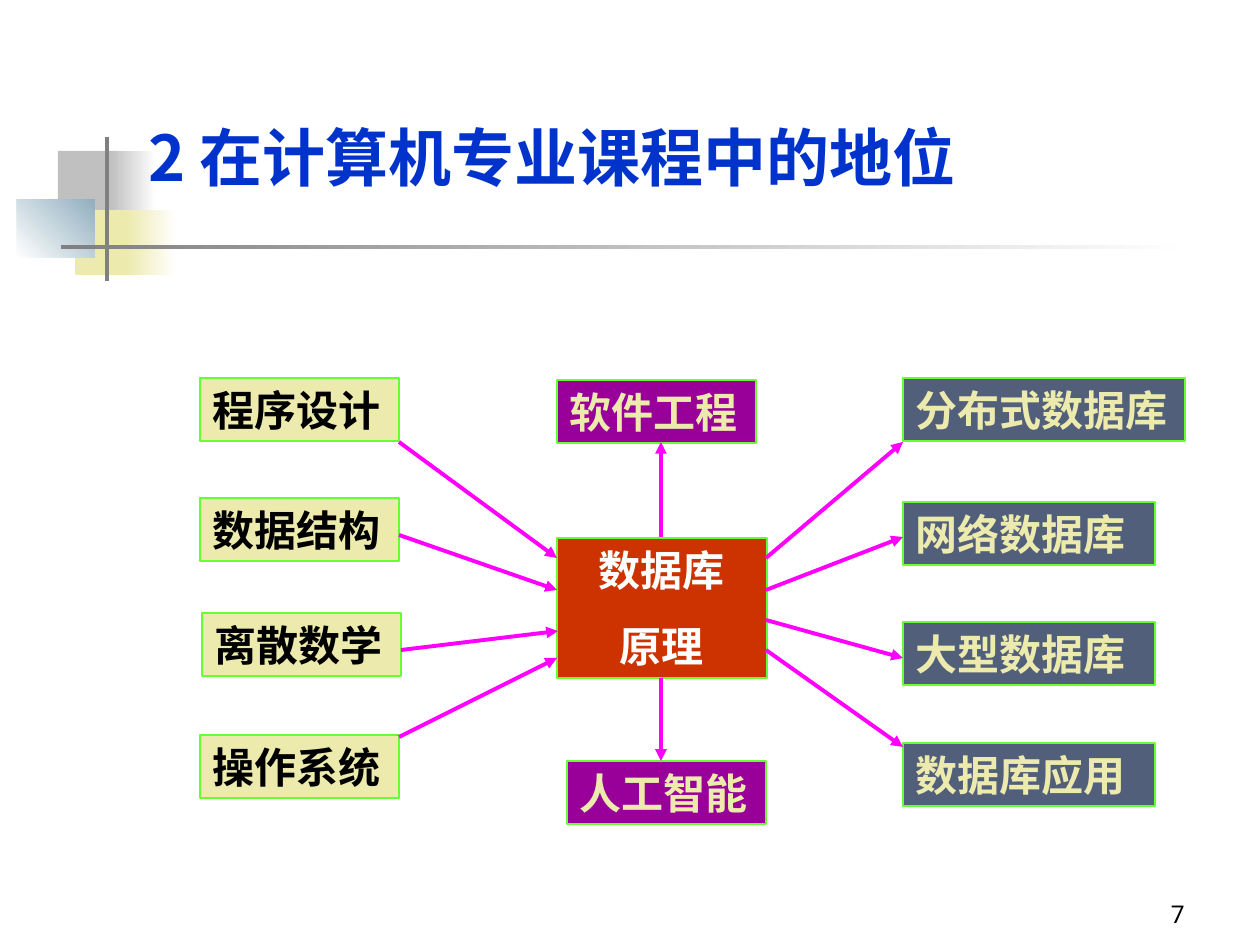
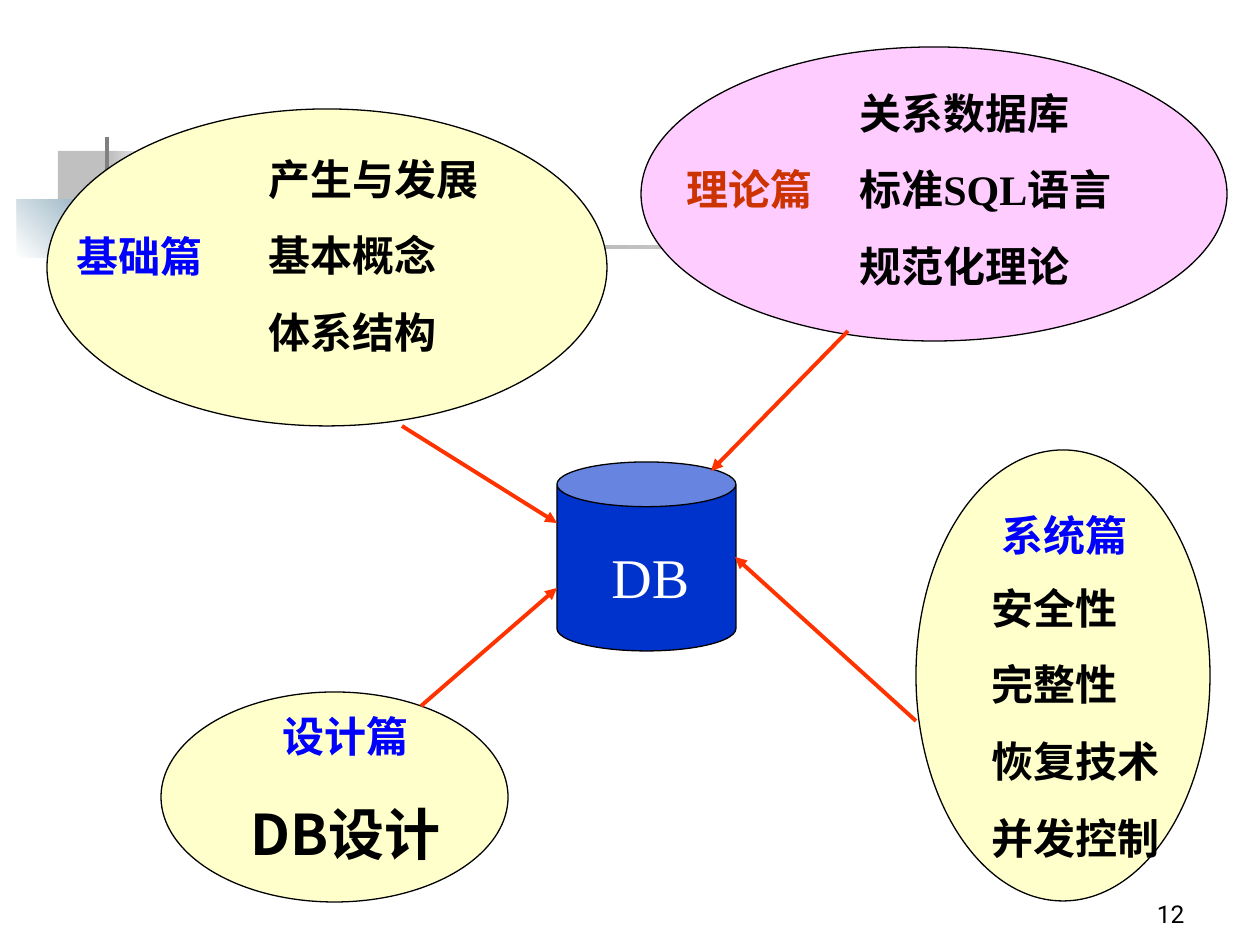
from lxml import etree
from pptx import Presentation
from pptx.dml.color import RGBColor
from pptx.enum.shapes import MSO_CONNECTOR, MSO_SHAPE
from pptx.enum.text import MSO_ANCHOR, PP_ALIGN
from pptx.oxml.ns import qn
from pptx.util import Emu, Pt

RECT, ELLIPSE, CAN = MSO_SHAPE.RECTANGLE, MSO_SHAPE.OVAL, MSO_SHAPE.CAN
STRAIGHT = MSO_CONNECTOR.STRAIGHT
TOP, BOTTOM = MSO_ANCHOR.TOP, MSO_ANCHOR.BOTTOM
LEFT, CENTER, RIGHT = PP_ALIGN.LEFT, PP_ALIGN.CENTER, PP_ALIGN.RIGHT

PX_PER_INCH = 126
SANS, SERIF, NUMBER_FONT = "Noto Sans CJK SC", "Times New Roman", "Roboto"
BLACK, WHITE, GRAY, SILVER = "000000", "FFFFFF", "808080", "C0C0C0"
BLUE, HEADING_BLUE, RED = "0033CC", "0000FF", "CC3300"
SAND, CREAM, PINK = "ECEAAC", "FFFFCC", "FFCCFF"
STEEL, SLATE, PURPLE = "91AFBF", "515F7B", "990099"
GREEN, MAGENTA, ORANGE = "66FF33", "FF00FF", "FF3300"


def px(n):
    return Emu(round(n * 914400 / PX_PER_INCH))


def rgb(color):
    return RGBColor.from_string(color)


def write(sp, lines, size=24, color=BLACK, font=SERIF, bold=True,
          align=LEFT, anchor=TOP, gap=15):
    tf = sp.text_frame
    tf.word_wrap = True
    tf.vertical_anchor = anchor
    for i, line in enumerate(lines):
        p = tf.add_paragraph() if i else tf.paragraphs[0]
        p.text = line
        p.alignment = align
        p.space_before = Pt(gap if i else 0)
        p.font.size = Pt(size)
        p.font.bold = bold
        p.font.name = font
        p.font.color.rgb = rgb(color)
        # East Asian typeface
        props = p._p.pPr.find(qn("a:defRPr"))
        etree.SubElement(props, qn("a:ea")).set("typeface", SANS)


def add_text(slide, box, lines, **style):
    write(slide.shapes.add_textbox(*map(px, box)), lines, **style)


def add_shape(slide, kind, box, fill, line=None, width=0.75):
    """A pair of colours as fill gives a gradient."""
    sp = slide.shapes.add_shape(kind, *map(px, box))
    sp.shadow.inherit = False
    if isinstance(fill, tuple):
        sp.fill.gradient()
        for stop, color in zip(sp.fill.gradient_stops, fill):
            stop.color.rgb = rgb(color)
        sp.fill.gradient_angle = 0
    else:
        sp.fill.solid()
        sp.fill.fore_color.rgb = rgb(fill)
    if line:
        sp.line.color.rgb = rgb(line)
        sp.line.width = Pt(width)
    else:
        sp.line.fill.background()
    return sp


def add_label(slide, box, lines, fill, color, align=LEFT):
    sp = add_shape(slide, RECT, box, fill, GREEN, 1)
    write(sp, lines, color=color, align=align)


def add_arrow(slide, start, end, color):
    cx = slide.shapes.add_connector(STRAIGHT, *map(px, start + end))
    cx.line.color.rgb = rgb(color)
    cx.line.width = Pt(2.25)
    tail = etree.SubElement(cx.line._get_or_add_ln(), qn("a:tailEnd"))
    tail.set("type", "triangle")
    etree.SubElement(cx._element.spPr, qn("a:effectLst"))


def add_base(prs, number):
    """New slide with the corner ornament, rule and page number."""
    slide = prs.slides.add_slide(prs.slide_layouts[6])
    for box, fill in [
        ((58, 151, 60, 66), SILVER),
        ((111, 151, 45, 66), (SILVER, WHITE)),
        ((75, 210, 58, 65), SAND),
        ((126, 210, 50, 65), (SAND, WHITE)),
    ]:
        add_shape(slide, RECT, box, fill)
    corner = add_shape(slide, RECT, (17, 199, 78, 59), (WHITE, STEEL))
    corner.fill.gradient_angle = 45
    add_shape(slide, RECT, (105, 137, 4, 144), GRAY)
    add_shape(slide, RECT, (61, 245, 1134, 4), (GRAY, WHITE))
    add_text(slide, (935, 872, 262, 63), [str(number)], size=14,
             font=NUMBER_FONT, bold=False, align=RIGHT, anchor=BOTTOM)
    return slide


def build_course_map(prs):
    slide = add_base(prs, 7)
    add_text(slide, (136, 127, 1004, 73), ["2 在计算机专业课程中的地位"],
             size=36, color=BLUE, font=SANS, anchor=BOTTOM)

    # Prerequisites, hub, neighbours and follow-up courses
    for x, y, name in [(200, 378, "程序设计"), (200, 498, "数据结构"),
                       (202, 613, "离散数学"), (200, 735, "操作系统")]:
        add_label(slide, (x, y, 199, 63), [name], SAND, BLACK)
    add_label(slide, (557, 538, 210, 140), ["数据库", "原理"], RED, WHITE, CENTER)
    for x, y, name in [(557, 380, "软件工程"), (567, 761, "人工智能")]:
        add_label(slide, (x, y, 199, 63), [name], PURPLE, SAND)
    for y, w, name in [(378, 282, "分布式数据库"), (502, 252, "网络数据库"),
                       (622, 252, "大型数据库"), (743, 252, "数据库应用")]:
        add_label(slide, (903, y, w, 63), [name], SLATE, SAND)

    # Arrows into and out of the hub
    for start, end in [
        ((399, 442), (557, 558)), ((399, 535), (557, 590)),
        ((401, 650), (558, 631)), ((399, 737), (557, 658)),
        ((661, 537), (661, 442)), ((661, 678), (661, 761)),
        ((766, 558), (903, 442)), ((766, 590), (903, 537)),
        ((766, 620), (903, 658)), ((766, 650), (903, 747)),
    ]:
        add_arrow(slide, start, end, MAGENTA)


def build_parts_map(prs):
    slide = add_base(prs, 12)

    # Each part: ellipse, heading, topics
    parts = [
        ((641, 47, 586, 294), PINK, (674, 157, 189, 63), "理论篇", RED, SERIF,
         (847, 81, 330, 217), ["关系数据库", "标准SQL语言", "规范化理论"], SERIF, 24),
        ((161, 692, 347, 210), CREAM, (270, 704, 189, 63), "设计篇", HEADING_BLUE, SANS,
         (238, 793, 231, 81), ["DB设计"], SANS, 32),
        ((916, 450, 294, 451), CREAM, (989, 503, 189, 63), "系统篇", HEADING_BLUE, SANS,
         (979, 576, 252, 294), ["安全性", "完整性", "恢复技术", "并发控制"], SANS, 24),
        ((47, 109, 560, 317), CREAM, (64, 224, 246, 63), "基础篇", HEADING_BLUE, SANS,
         (256, 147, 330, 217), ["产生与发展", "基本概念", "体系结构"], SERIF, 24),
    ]
    for (oval, fill, head_box, heading, color, head_font,
         topic_box, topics, topic_font, size) in parts:
        add_shape(slide, ELLIPSE, oval, fill, BLACK)
        add_text(slide, head_box, [heading], color=color, font=head_font)
        add_text(slide, topic_box, topics, size=size, font=topic_font)

    # Database in the middle
    can = add_shape(slide, CAN, (557, 462, 179, 189), BLUE, BLACK)
    can.adjustments[0] = 0.25
    add_text(slide, (599, 536, 116, 81), ["DB"], size=32, color=WHITE, bold=False)

    for start, end in [((848, 331), (711, 471)), ((402, 426), (557, 523)),
                       ((916, 721), (735, 557)), ((421, 706), (557, 588))]:
        add_arrow(slide, start, end, ORANGE)


def main():
    prs = Presentation()
    prs.slide_width, prs.slide_height = px(1260), px(945)
    build_course_map(prs)
    build_parts_map(prs)
    prs.save("out.pptx")


if __name__ == "__main__":
    main()
